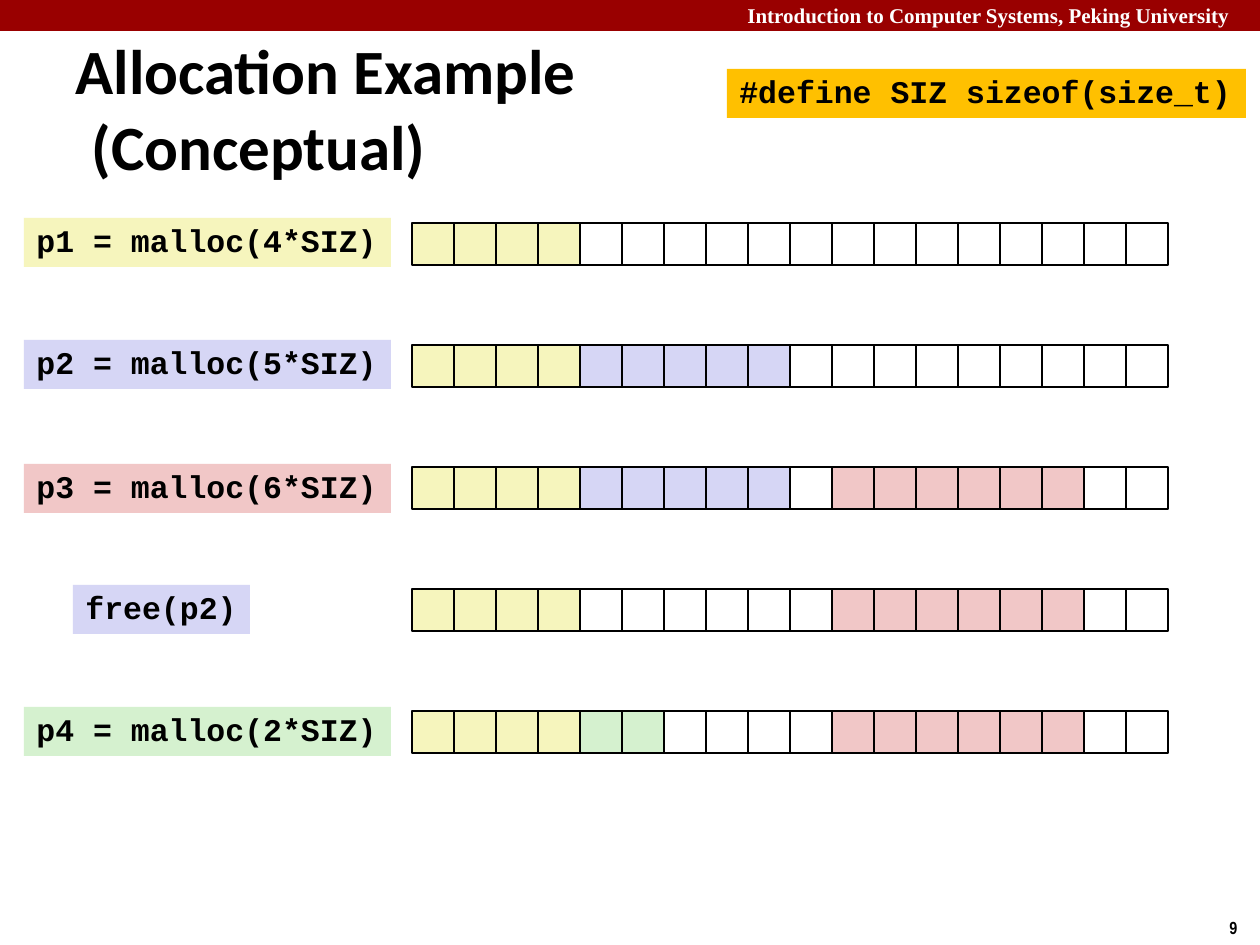
from dataclasses import dataclass

from pptx import Presentation
from pptx.dml.color import RGBColor
from pptx.enum.shapes import MSO_SHAPE as Shape
from pptx.enum.text import MSO_ANCHOR as Anchor, PP_ALIGN as Align
from pptx.util import Emu, Pt

PX = 914400 / 126
COLORS = {
    "black": "000000", "white": "FFFFFF", "banner": "990000", "define": "FFC000",
    "p1": "F6F5BD", "p2": "D6D6F5", "p3": "F1C7C7", "p4": "D5F1CF", "free": "FFFFFF",
}
CODE = {"name": "Courier New", "size": Pt(18), "bold": True}
TITLE = {"name": "Calibri", "size": Pt(36), "bold": True}
HEADER = {"name": "Times New Roman", "size": Pt(12), "bold": True}
NUMBER = {"name": "Arial Narrow", "size": Pt(10), "bold": True}
CELL, HEAP_LEFT, HEAP_TOP, ROW_PITCH = 42, 412, 223, 122


@dataclass(frozen=True)
class Box:
    left: int
    top: int
    width: int
    height: int

    def emu(self) -> list[Emu]:
        return [Emu(round(v * PX)) for v in (self.left, self.top, self.width, self.height)]


@dataclass(frozen=True)
class Label:
    text: str
    box: Box
    color: str


@dataclass(frozen=True)
class Step:
    label: Label
    blocks: tuple[tuple[str, int], ...]  # (owner, words) from left to right


def rgb(color: str) -> RGBColor:
    return RGBColor.from_string(COLORS[color])


def add_rect(shapes, box: Box, fill: str, outlined: bool = False):
    sp = shapes.add_shape(Shape.RECTANGLE, *box.emu())
    sp.shadow.inherit = False
    sp.fill.solid()
    sp.fill.fore_color.rgb = rgb(fill)
    if outlined:
        sp.line.color.rgb = rgb("black")
        sp.line.width = Pt(1)
    else:
        sp.line.fill.background()
    return sp


def set_text(tf, text: str, style: dict, color: str = "black"):
    tf.text = text
    p = tf.paragraphs[0]
    p.alignment = Align.LEFT
    for r in p.runs:
        for key, value in style.items():
            setattr(r.font, key, value)
        r.font.color.rgb = rgb(color)
    return p


def add_text(shapes, box: Box, text: str, style: dict, color: str, wrap: bool) -> None:
    tf = shapes.add_textbox(*box.emu()).text_frame
    tf.word_wrap = wrap
    set_text(tf, text, style, color)


def add_label(shapes, label: Label) -> None:
    tf = add_rect(shapes, label.box, label.color).text_frame
    tf.word_wrap = False
    tf.vertical_anchor = Anchor.TOP
    set_text(tf, label.text, CODE).line_spacing = 0.94


def add_heap(shapes, top: int, blocks: tuple[tuple[str, int], ...]) -> None:
    """Draw one group of word cells, coloured by owner."""
    group = shapes.add_group_shape()
    owners = [owner for owner, words in blocks for _ in range(words)]
    for i, owner in enumerate(owners):
        add_rect(group.shapes, Box(HEAP_LEFT + i * CELL, top, CELL, CELL), owner, True)


def set_title(title, box: Box, text: str) -> None:
    title.left, title.top, title.width, title.height = box.emu()
    tf = title.text_frame
    tf.word_wrap = True
    tf.vertical_anchor = Anchor.MIDDLE
    pPr = set_text(tf, text, TITLE)._p.get_or_add_pPr()
    hang = round(16 * PX)
    pPr.set("marL", str(hang))
    pPr.set("indent", str(-hang))


STEPS = [
    Step(Label("p1 = malloc(4*SIZ)", Box(24, 218, 367, 49), "p1"),
         (("p1", 4), ("free", 14))),
    Step(Label("p2 = malloc(5*SIZ)", Box(24, 340, 367, 49), "p2"),
         (("p1", 4), ("p2", 5), ("free", 9))),
    Step(Label("p3 = malloc(6*SIZ)", Box(24, 464, 367, 49), "p3"),
         (("p1", 4), ("p2", 5), ("free", 1), ("p3", 6), ("free", 2))),
    Step(Label("free(p2)", Box(73, 585, 177, 49), "p2"),
         (("p1", 4), ("free", 6), ("p3", 6), ("free", 2))),
    Step(Label("p4 = malloc(2*SIZ)", Box(24, 707, 367, 49), "p4"),
         (("p1", 4), ("p4", 2), ("free", 4), ("p3", 6), ("free", 2))),
]


def main() -> None:
    prs = Presentation()
    prs.slide_width, prs.slide_height = Box(0, 0, 1260, 945).emu()[2:]
    slide = prs.slides.add_slide(prs.slide_layouts[5])
    shapes = slide.shapes

    add_rect(shapes, Box(0, 0, 1260, 31), "banner")
    add_text(shapes, Box(735, -4, 534, 38),
             "Introduction to Computer Systems, Peking University", HEADER, "white", True)
    add_text(shapes, Box(1217, 911, 43, 34), "9", NUMBER, "black", False)
    set_title(shapes.title, Box(63, 68, 891, 79), "Allocation Example\v(Conceptual)")
    add_label(shapes, Label("#define SIZ sizeof(size_t)", Box(727, 69, 519, 49), "define"))
    for i, step in enumerate(STEPS):
        add_label(shapes, step.label)
        add_heap(shapes, HEAP_TOP + i * ROW_PITCH, step.blocks)

    prs.save("out.pptx")


if __name__ == "__main__":
    main()
